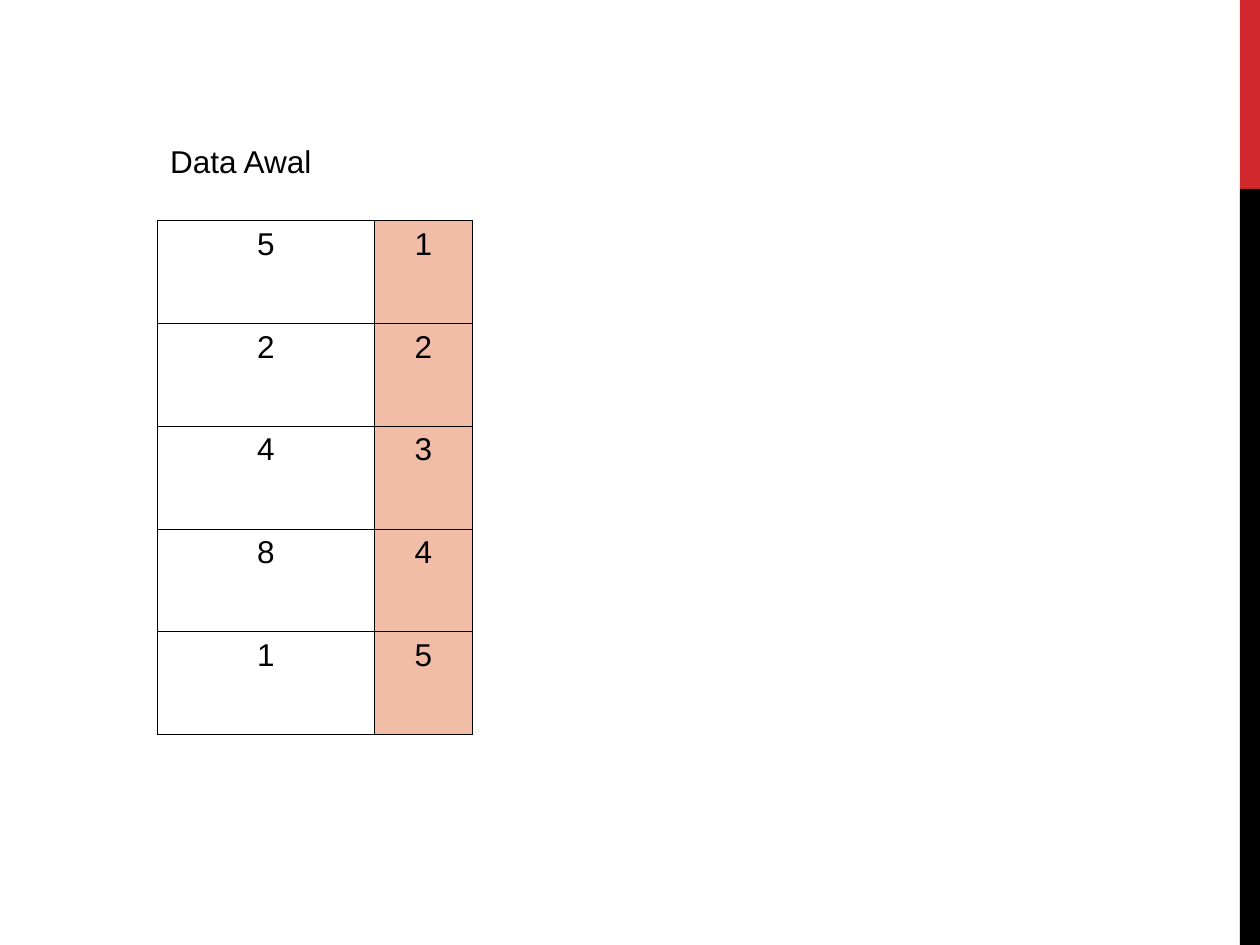
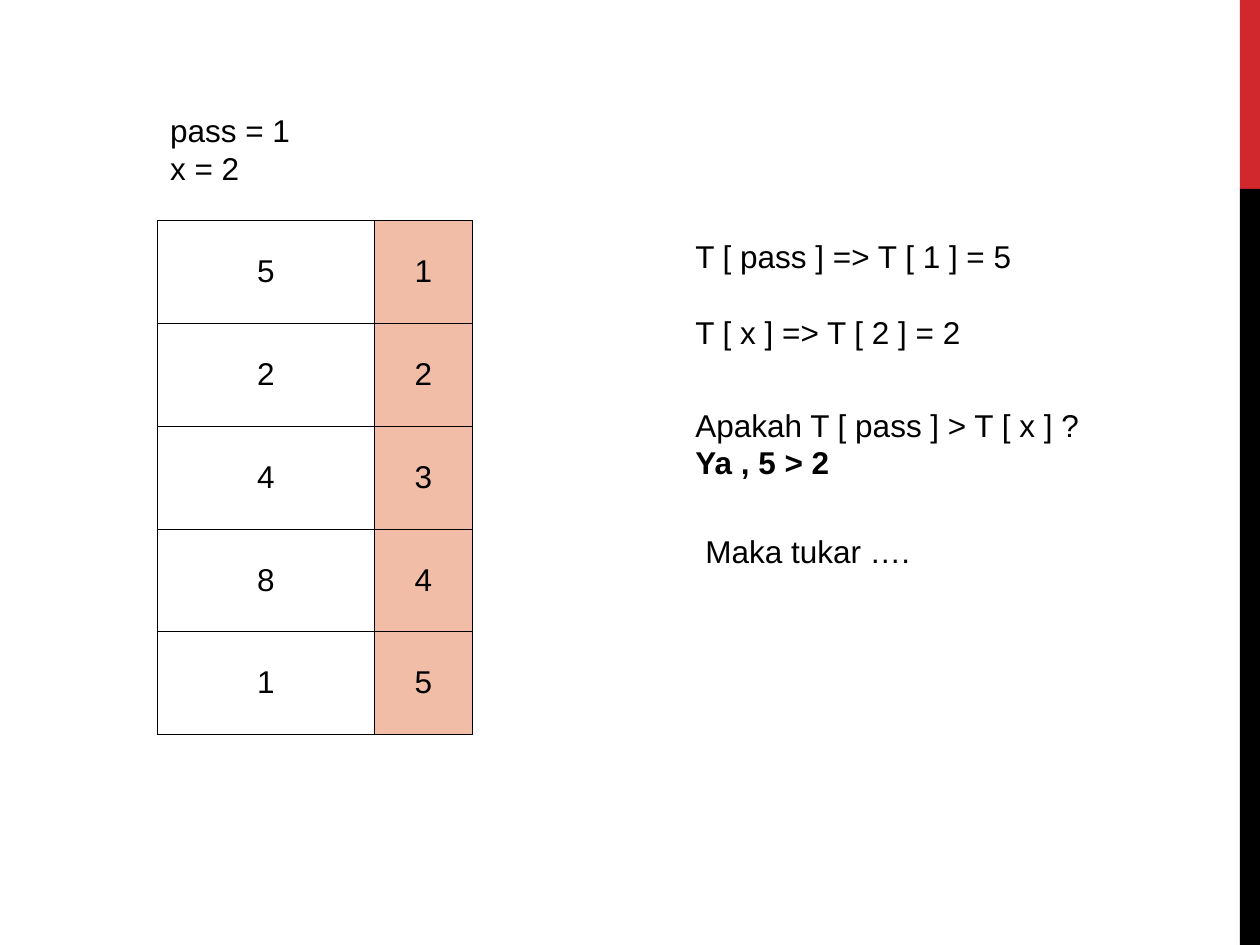
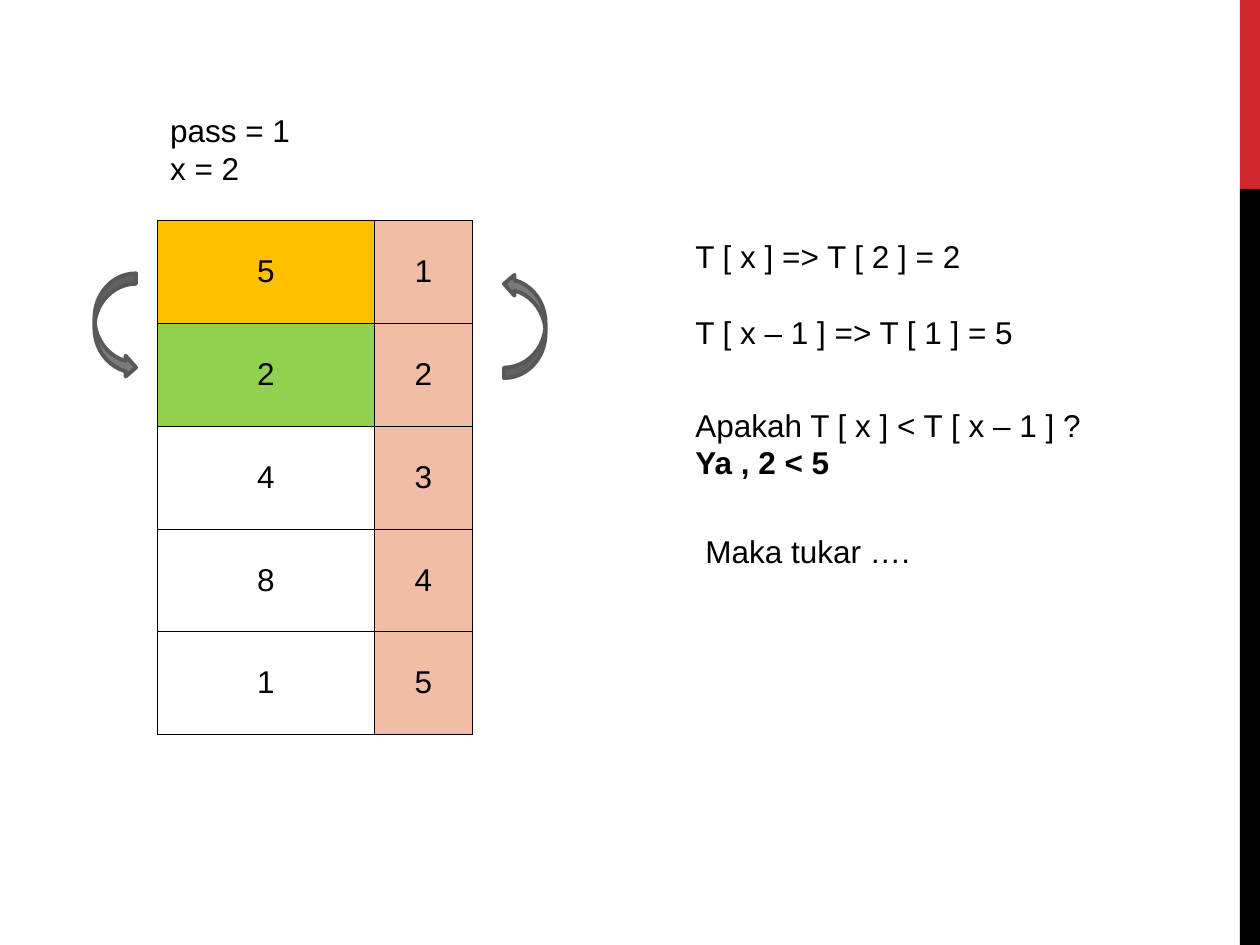
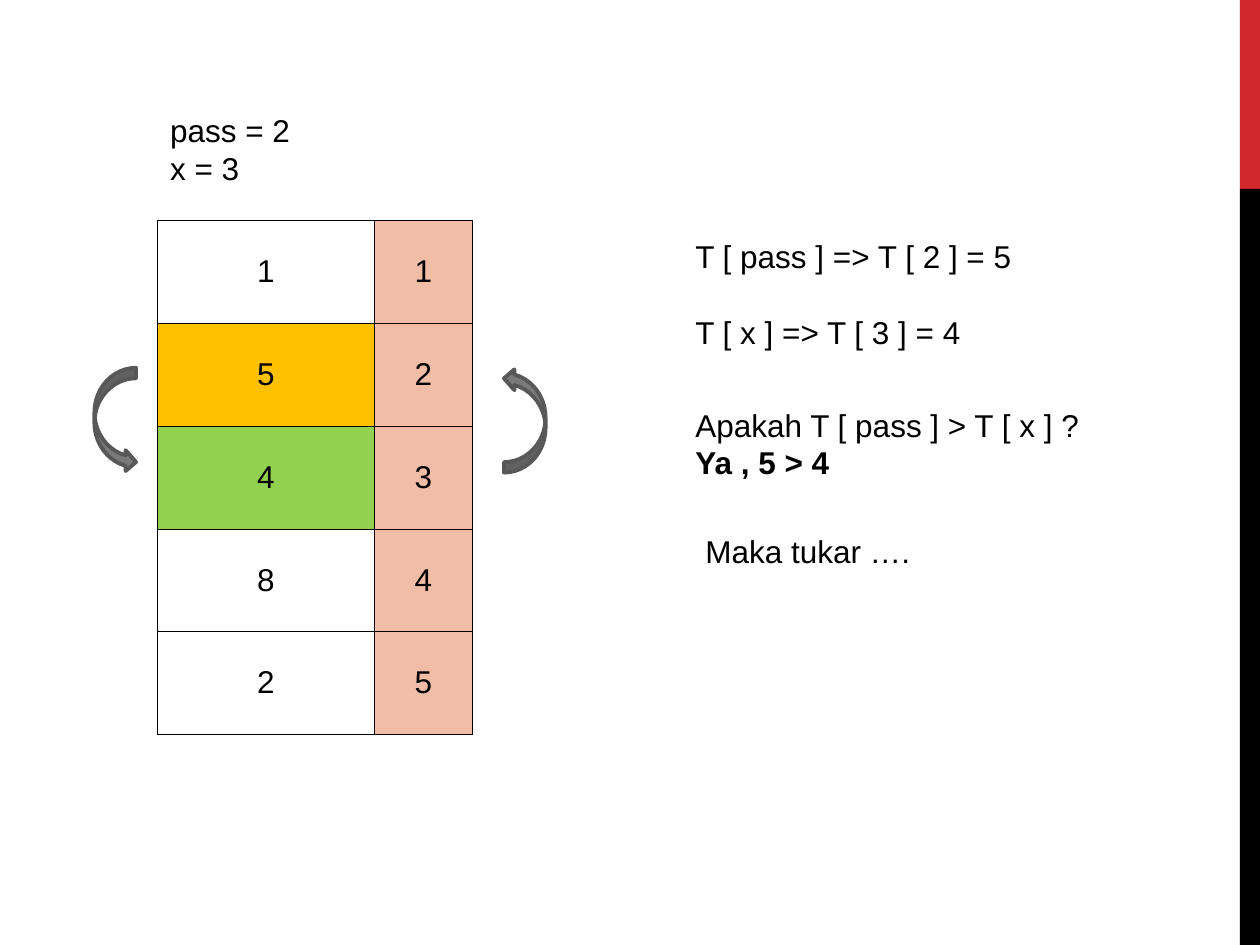
from lxml import etree
from pptx import Presentation
from pptx.dml.color import RGBColor
from pptx.enum.shapes import MSO_SHAPE as SHAPE
from pptx.enum.text import MSO_ANCHOR as ANCHOR, MSO_AUTO_SIZE as AUTO, PP_ALIGN as ALIGN
from pptx.oxml.ns import qn
from pptx.util import Inches, Pt

RED, BLACK, PEACH = "D1282E", "000000", "F1BDA7"
ORANGE, GREEN = "FFC000", "92D050"
ARROW_FILL, ARROW_LINE = "7A7A7A", "585858"
FONT = {"name": "Arial", "size": Pt(18), "bold": False}
FRAME = {"word_wrap": True, "auto_size": AUTO.SHAPE_TO_FIT_TEXT, "vertical_anchor": ANCHOR.TOP}


def rgb(value):
    return RGBColor.from_string(value)


def write(tf, lines, align=ALIGN.LEFT, gap=0):
    """Write one paragraph per line; a line is a list of (text, bold) runs."""
    for i, runs in enumerate(lines):
        p = tf.add_paragraph() if i else tf.paragraphs[0]
        p.alignment = align
        if i and gap:
            p.space_before = Pt(gap)
        for text, bold in runs:
            r = p.add_run()
            r.text = text
            for key, value in {**FONT, "bold": bold}.items():
                setattr(r.font, key, value)
            r.font.color.rgb = rgb(BLACK)


# Per slide: heading, values, first swapped row, arrow top, compared items, question, answer
SLIDES = [
    (["Data Awal"], [5, 2, 4, 8, 1], None, None, [], "", ""),
    (["pass = 1", "x = 2"], [5, 2, 4, 8, 1], None, None,
     ["T [ pass ] => T [ 1 ] = 5", "T [ x ] => T [ 2 ] = 2"],
     "Apakah T [ pass ] > T [ x ] ? ", "Ya , 5 > 2"),
    (["pass = 1", "x = 2"], [5, 2, 4, 8, 1], 0, 2.17,
     ["T [ x ] => T [ 2 ] = 2", "T [ x – 1 ] => T [ 1 ] = 5"],
     "Apakah T [ x ] < T [ x – 1 ] ? ", "Ya , 2 < 5"),
    (["pass = 2", "x = 3"], [1, 5, 4, 8, 2], 1, 2.92,
     ["T [ pass ] => T [ 2 ] = 5", "T [ x ] => T [ 3 ] = 4"],
     "Apakah T [ pass ] > T [ x ] ? ", "Ya , 5 > 4"),
]

prs = Presentation()
prs.slide_width, prs.slide_height = Inches(10), Inches(7.5)
layout = prs.slide_layouts[5]

for number, (heading, values, swap, arrow_top, items, question, answer) in enumerate(SLIDES):
    s = prs.slides.add_slide(layout)

    # Side bands, drawn once and moved to the master
    if number == 0:
        for top, height, color in [(0, 1.5, RED), (1.5, 6, BLACK)]:
            band = s.shapes.add_shape(SHAPE.RECTANGLE, Inches(9.84), Inches(top),
                                      Inches(0.16), Inches(height))
            band.shadow.inherit = False
            band.fill.solid()
            band.fill.fore_color.rgb = rgb(color)
            band.line.fill.background()
            prs.slide_master.shapes.element.append(band.element)

    # Heading
    title = s.shapes.title
    top, height = (0.83, 0.7) if len(heading) > 1 else (1.08, 0.4)
    title.left, title.top = Inches(1.25), Inches(top)
    title.width, title.height = Inches(1.83), Inches(height)
    for key, value in FRAME.items():
        setattr(title.text_frame, key, value)
    write(title.text_frame, [[(line, False)] for line in heading])

    # Array with its index column
    table = s.shapes.add_table(5, 2, Inches(1.25), Inches(1.75), Inches(2.5), Inches(4.08)).table
    table.first_row = table.horz_banding = False
    table.columns[0].width, table.columns[1].width = Inches(1.72), Inches(0.78)
    swapped = {} if swap is None else {swap: ORANGE, swap + 1: GREEN}
    for row, value in enumerate(values):
        for col, text in enumerate([value, row + 1]):
            cell = table.cell(row, col)
            cell.vertical_anchor = ANCHOR.MIDDLE if number else ANCHOR.TOP
            write(cell.text_frame, [[(str(text), False)]], ALIGN.CENTER)
            tc_pr = cell._tc.get_or_add_tcPr()
            for side in ("lnL", "lnR", "lnT", "lnB"):
                ln = etree.SubElement(tc_pr, qn(f"a:{side}"), w=str(Pt(0.45)))
                fill = etree.SubElement(ln, qn("a:solidFill"))
                etree.SubElement(fill, qn("a:srgbClr"), val=BLACK)
            color = PEACH if col else swapped.get(row)
            if color:
                cell.fill.solid()
                cell.fill.fore_color.rgb = rgb(color)
            else:
                cell.fill.background()

    # Comparison beside the array
    if items:
        for left, top, width, height, lines, gap in [
            (5.42, 1.83, 3.58, 1, [[(item, False)] for item in items], 22),
            (5.42, 3.17, 3.42, 0.7, [[(question, False), (answer, True)]], 0),
            (5.5, 4.17, 3.17, 0.4, [[("Maka tukar ….", False)]], 0),
        ]:
            tf = s.shapes.add_textbox(Inches(left), Inches(top), Inches(width), Inches(height)).text_frame
            for key, value in FRAME.items():
                setattr(tf, key, value)
            write(tf, lines, gap=gap)

    # Swap arrows
    if arrow_top:
        for left, rotation in [(0.75, 0), (4, 180)]:
            arrow = s.shapes.add_shape(SHAPE.CURVED_RIGHT_ARROW, Inches(left), Inches(arrow_top),
                                       Inches(0.33), Inches(0.83))
            arrow.rotation = rotation
            arrow.shadow.inherit = False
            arrow.fill.solid()
            arrow.fill.fore_color.rgb = rgb(ARROW_FILL)
            arrow.line.color.rgb = rgb(ARROW_LINE)
            arrow.line.width = Pt(2.25)

prs.save("out.pptx")
